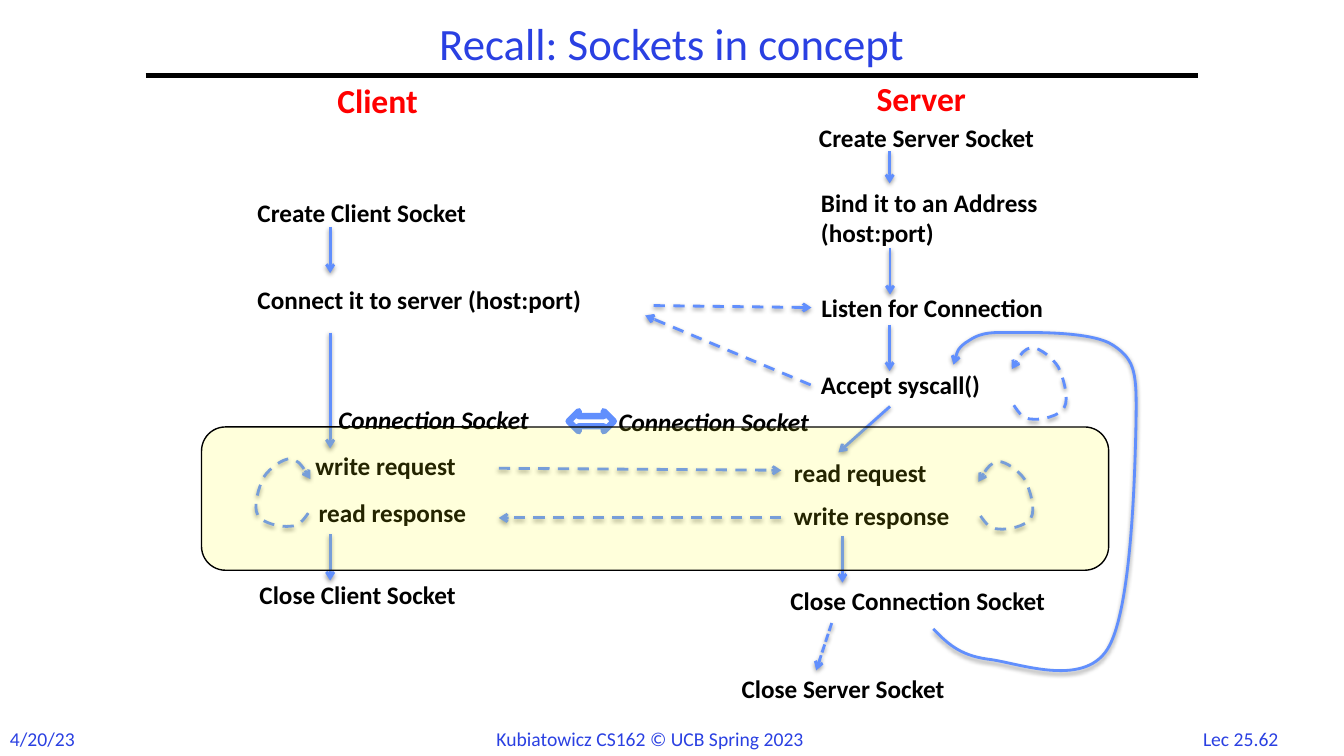
from lxml import etree
from pptx import Presentation
from pptx import util as u
from pptx.dml.color import RGBColor
from pptx.enum import dml, shapes, text
from pptx.oxml import ns, parse_xml

BLACK = RGBColor(0x00, 0x00, 0x00)
WHITE = RGBColor(0xFF, 0xFF, 0xFF)
RED = RGBColor(0xFF, 0x00, 0x00)
YELLOW = RGBColor(0xFF, 0xFF, 0x00)
TITLE_BLUE = RGBColor(0x2A, 0x40, 0xE2)
ARROW_BLUE = RGBColor(0x61, 0x8F, 0xFD)
DASH = dml.MSO_LINE.DASH
SHORT_DASH = dml.MSO_LINE.SQUARE_DOT
LEFT, CENTER = text.PP_ALIGN.LEFT, text.PP_ALIGN.CENTER

SHADOW = (
    f'<a:effectLst {ns.nsdecls("a")}>'
    '<a:outerShdw blurRad="40000" dist="20000" dir="5400000" rotWithShape="0">'
    '<a:srgbClr val="000000"><a:alpha val="38000"/></a:srgbClr>'
    '</a:outerShdw></a:effectLst>'
)
NO_SHADOW = f'<a:effectLst {ns.nsdecls("a")}/>'

LOOP = [
    (0.05, 1.37), (0.18, 1.55), (0.28, 1.7), (0.51, 1.7),
    (0.71, 1.73), (1.22, 1.63), (1.32, 1.42),
    (1.45, 1.22), (1.3, 0.71), (1.17, 0.46),
    (1.02, 0.23), (0.69, 0), (0.51, 0),
    (0.3, 0.03), (0.15, 0.25), (0, 0.51),
]
NEXT_CLIENT = [
    (23.52, 15.85), (23.85, 16.18), (24.16, 16.51), (24.89, 16.61),
    (25.63, 16.69), (27.28, 17.35), (27.91, 16.36),
    (28.52, 15.39), (28.6, 11.96), (28.63, 10.69),
    (28.65, 9.42), (28.63, 9.09), (28.07, 8.71),
    (27.53, 8.33), (25.93, 8.38), (25.32, 8.38),
    (24.69, 8.36), (24.54, 8.51), (24.33, 8.64),
    (24.13, 8.79), (24.08, 8.99), (24.03, 9.19),
]


def curve_points(controls, steps=12):
    points = [controls[0]]
    for i in range(0, len(controls) - 1, 3):
        for step in range(1, steps + 1):
            t = step / steps
            weights = ((1 - t) ** 3, 3 * t * (1 - t) ** 2, 3 * t * t * (1 - t), t ** 3)
            points.append(tuple(
                sum(weight * point[axis] for weight, point in zip(weights, controls[i:i + 4]))
                for axis in (0, 1)))
    return [(u.Cm(x), u.Cm(y)) for x, y in points]


class SocketSlide:
    font = "Calibri"

    def __init__(self, presentation):
        self.slide = presentation.slides.add_slide(presentation.slide_layouts[5])
        self.shapes = self.slide.shapes

    def format_text(self, frame, words, size, color, bold=False, italic=False, align=LEFT):
        frame.text = words
        frame.word_wrap = True
        for paragraph in frame.paragraphs:
            paragraph.alignment = align
            for run in paragraph.runs:
                font = run.font
                font.name, font.size = self.font, u.Pt(size)
                font.bold, font.italic = bold, italic
                font.color.rgb = color

    def title(self, words, left, top, width, height):
        shape = self.shapes.title
        shape.left, shape.top = u.Cm(left), u.Cm(top)
        shape.width, shape.height = u.Cm(width), u.Cm(height)
        self.format_text(shape.text_frame, words, 32, TITLE_BLUE, align=CENTER)
        shape.text_frame.vertical_anchor = text.MSO_ANCHOR.MIDDLE
        shape.text_frame.paragraphs[0].line_spacing = 0.9

    def label(self, words, left, top, width, height=1.02, size=18, color=BLACK,
              bold=True, italic=False, align=LEFT):
        box = self.shapes.add_textbox(u.Cm(left), u.Cm(top), u.Cm(width), u.Cm(height))
        self.format_text(box.text_frame, words, size, color, bold, italic, align)

    def style_line(self, shape, color, width, dash=None):
        shape.line.color.rgb = color
        shape.line.width = u.Pt(width)
        if dash is not None:
            shape.line.dash_style = dash

    def finish_arrow(self, shape, dash):
        self.style_line(shape, ARROW_BLUE, 2, dash)
        properties = shape.element.spPr
        outline = properties.find(ns.qn("a:ln"))
        etree.SubElement(outline, ns.qn("a:tailEnd"), type="arrow")
        properties.append(parse_xml(SHADOW))

    def connector(self, x1, y1, x2, y2):
        return self.shapes.add_connector(
            shapes.MSO_CONNECTOR.STRAIGHT, u.Cm(x1), u.Cm(y1), u.Cm(x2), u.Cm(y2))

    def rule(self, x1, x2, y):
        line = self.connector(x1, y, x2, y)
        self.style_line(line, BLACK, 3)
        line.element.spPr.append(parse_xml(NO_SHADOW))

    def arrow(self, x1, y1, x2, y2, dash=None):
        self.finish_arrow(self.connector(x1, y1, x2, y2), dash)

    def curve(self, controls, dash=None):
        start, *rest = curve_points(controls)
        builder = self.shapes.build_freeform(*start)
        builder.add_line_segments(rest, close=False)
        shape = builder.convert_to_shape()
        shape.fill.background()
        outline = next(shape.element.iter(ns.qn("a:path")))
        for segment in outline.findall(ns.qn("a:lnTo")):
            outline.remove(segment)
        for i in range(1, len(controls), 3):
            bezier = etree.SubElement(outline, ns.qn("a:cubicBezTo"))
            for x, y in controls[i:i + 3]:
                etree.SubElement(bezier, ns.qn("a:pt"),
                                 x=str(u.Cm(x) - shape.left), y=str(u.Cm(y) - shape.top))
        self.finish_arrow(shape, dash)

    def loop(self, tip, top, direction=1, stretch=1):
        self.curve([(tip + direction * x, top + stretch * y) for x, y in LOOP], DASH)

    def block(self, kind, left, top, width, height, fill, line, line_width, opacity=None):
        shape = self.shapes.add_shape(kind, u.Cm(left), u.Cm(top), u.Cm(width), u.Cm(height))
        shape.shadow.inherit = False
        shape.fill.solid()
        shape.fill.fore_color.rgb = fill
        self.style_line(shape, line, line_width)
        if opacity is not None:
            color = shape.element.spPr.find(ns.qn("a:solidFill"))[0]
            etree.SubElement(color, ns.qn("a:alpha"), val=str(opacity * 1000))


def main():
    presentation = Presentation()
    presentation.slide_width, presentation.slide_height = u.Cm(33.87), u.Cm(19.05)
    slide = SocketSlide(presentation)

    slide.title("Recall: Sockets in concept", 3.67, 0.43, 26.52, 1.47)
    slide.rule(3.67, 30.2, 1.9)
    for words, left, width, align in [
        ("4/20/23", 0, 2.4, LEFT),
        ("Kubiatowicz CS162 © UCB Spring 2023", 12.26, 9.35, LEFT),
        ("Lec 25.62", 29.9, 2.74, CENTER),
    ]:
        slide.label(words, left, 18.19, width, 0.86, 14, TITLE_BLUE, bold=False, align=align)

    slide.label("Client", 8.25, 1.88, 2.9, 1.27, 24, RED)
    slide.label("Server", 21.84, 1.83, 3.3, 1.27, 24, RED)
    for words, left, top, width in [
        ("Create Client Socket", 6.24, 4.85, 6.76),
        ("Connect it to server (host:port)", 6.24, 7.04, 9.96),
        ("write request", 7.7, 11.23, 4.5),
        ("read response", 7.78, 12.41, 4.85),
        ("Close Client Socket", 6.29, 14.47, 6.53),
        ("Create Server Socket", 20.39, 2.97, 6.96),
        ("Bind it to an Address\n(host:port)", 20.44, 4.6, 7.11),
        ("Listen for Connection", 20.45, 7.24, 7.11),
        ("Accept syscall()", 20.44, 9.17, 5.41),
        ("read request", 19.76, 11.4, 4.5),
        ("write response", 19.76, 12.48, 5.05),
        ("Close Connection Socket", 19.67, 14.63, 8.26),
        ("Close Server Socket", 18.44, 16.84, 6.86),
    ]:
        slide.label(words, left, top, width, 1.8 if "\n" in words else 1.02)
    for left, top in [(8.28, 10.06), (15.34, 10.11)]:
        slide.label("Connection Socket", left, top, 6.32, italic=True)

    for x, top, bottom in [
        (8.32, 5.72, 6.88), (8.32, 8.38, 11.3), (8.32, 13.46, 14.63),
        (22.42, 3.81, 4.62), (22.43, 6.25, 7.42), (22.42, 8.18, 9.35),
        (21.23, 13.51, 14.68),
    ]:
        slide.arrow(x, top, x, bottom)
    slide.arrow(22.43, 10.24, 21.13, 11.4)
    slide.arrow(20.96, 15.7, 20.57, 16.89, SHORT_DASH)
    for ends in [
        (16.47, 7.7, 20.45, 7.75), (20.43, 9.7, 16.26, 7.95),
        (12.57, 11.8, 19.69, 11.85), (19.69, 13.05, 12.57, 13.05),
    ]:
        slide.arrow(*ends, DASH)

    slide.loop(24.66, 11.63)
    slide.loop(7.82, 11.56, direction=-1)
    slide.loop(25.5, 8.76, stretch=1.06)
    slide.curve(NEXT_CLIENT)

    slide.block(shapes.MSO_SHAPE.LEFT_RIGHT_ARROW, 14.33, 10.36, 1.14, 0.51,
                WHITE, ARROW_BLUE, 4.5)
    slide.block(shapes.MSO_SHAPE.ROUNDED_RECTANGLE, 5.08, 10.76, 22.86, 3.61,
                YELLOW, BLACK, 1, opacity=14)
    presentation.save("out.pptx")


if __name__ == "__main__":
    main()
